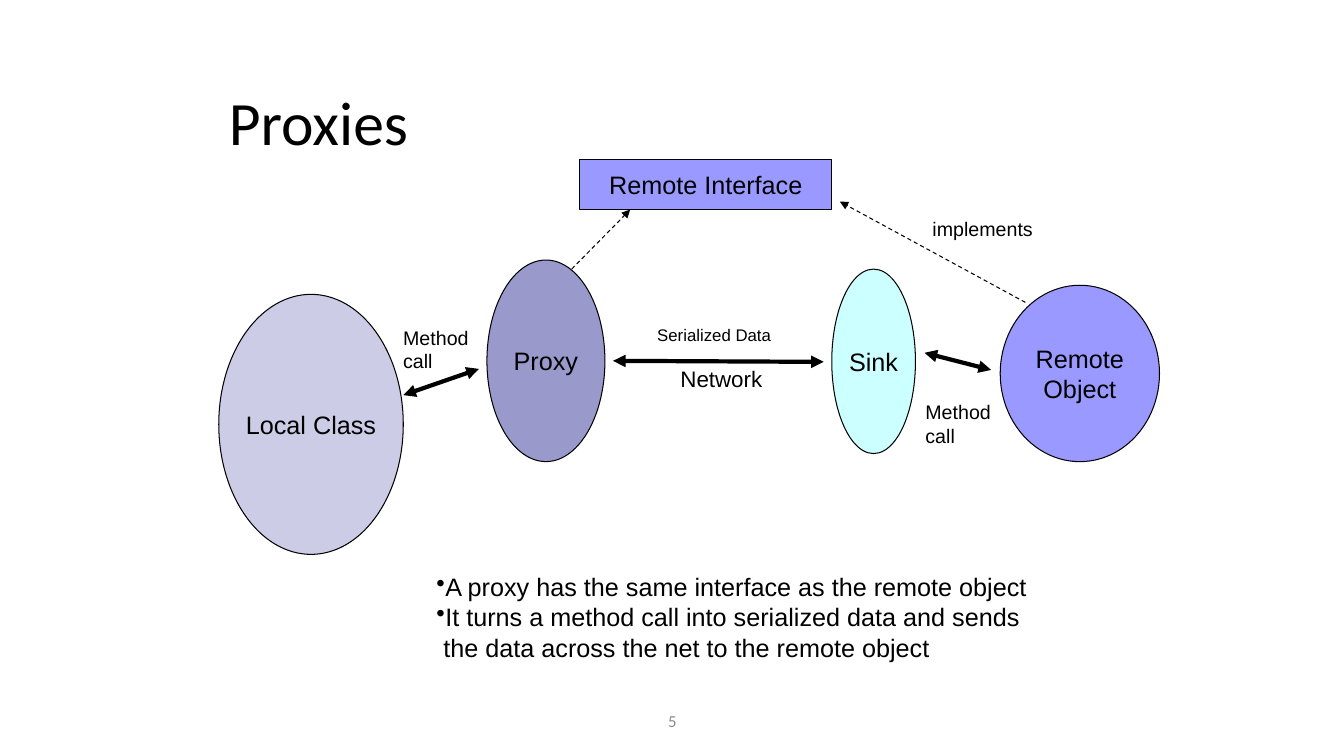
"""Build the Proxies slide."""
from pptx import Presentation
from pptx.dml.color import RGBColor
from pptx.enum.dml import MSO_LINE
from pptx.enum.shapes import MSO_CONNECTOR, MSO_SHAPE
from pptx.enum.text import MSO_ANCHOR, PP_ALIGN
from pptx.oxml.ns import qn
from pptx.util import Inches, Pt
from lxml import etree

OVAL, RECT = MSO_SHAPE.OVAL, MSO_SHAPE.RECTANGLE
STRAIGHT, DASH = MSO_CONNECTOR.STRAIGHT, MSO_LINE.DASH
LEFT, CENTER = PP_ALIGN.LEFT, PP_ALIGN.CENTER
TOP, MIDDLE = MSO_ANCHOR.TOP, MSO_ANCHOR.MIDDLE


def color(text):
    return RGBColor.from_string(text)


class Board:
    ink, sans, head = "000000", "Arial", "Calibri"
    thin, thick = 0.74, 3

    def __init__(self, deck):
        self.slide = deck.slides.add_slide(deck.slide_layouts[5])
        self.shapes = self.slide.shapes

    def letter(self, frame, lines, size, align=LEFT, anchor=TOP,
               font=None, ink=None, wrap=False):
        frame.word_wrap = wrap
        frame.vertical_anchor = anchor
        for i, line in enumerate(lines):
            para = frame.add_paragraph() if i else frame.paragraphs[0]
            para.text = line
            para.alignment = align
            para.font.size = Pt(size)
            para.font.name = font or self.sans
            para.font.color.rgb = color(ink or self.ink)
        return frame

    def title(self, text, box):
        shape = self.shapes.title
        shape.left, shape.top, shape.width, shape.height = map(Inches, box)
        frame = self.letter(shape.text_frame, [text], 44, anchor=MIDDLE,
                            font=self.head, wrap=True)
        frame.paragraphs[0].line_spacing = 0.9

    def node(self, kind, lines, box, fill):
        shape = self.shapes.add_shape(kind, *map(Inches, box))
        shape.shadow.inherit = False
        shape.fill.solid()
        shape.fill.fore_color.rgb = color(fill)
        shape.line.color.rgb = color(self.ink)
        shape.line.width = Pt(self.thin)
        self.letter(shape.text_frame, lines, 18, CENTER, MIDDLE)

    def label(self, lines, box, size, **style):
        shape = self.shapes.add_textbox(*map(Inches, box))
        return self.letter(shape.text_frame, lines, size, **style)

    def bullets(self, lines, box, size):
        for para in self.label(lines, box, size).paragraphs:
            props = para._p.get_or_add_pPr()
            mark = etree.Element(qn("a:buChar"), char="•")
            props.insert_element_before(mark, "a:tabLst", "a:defRPr", "a:extLst")

    def arrow(self, start, end, width, ends, dash=None):
        link = self.shapes.add_connector(STRAIGHT, *map(Inches, start + end))
        link.line.color.rgb = color(self.ink)
        link.line.width = Pt(width)
        if dash:
            link.line.dash_style = dash
        props = link._element.spPr
        for tag in ends:
            etree.SubElement(props.find(qn("a:ln")), qn(tag)).set("type", "triangle")
        etree.SubElement(props, qn("a:effectLst"))

    def realize(self, start, end):
        self.arrow(start, end, self.thin, ["a:tailEnd"], DASH)

    def call(self, start, end):
        self.arrow(start, end, self.thick, ["a:headEnd", "a:tailEnd"])


deck = Presentation()
deck.slide_width, deck.slide_height = Inches(13.33), Inches(7.5)
board = Board(deck)

board.title("Proxies", (2.17, 0.5, 9, 1.5))
board.label(["5"], (4.42, 6.95, 4.5, 0.4), 12, align=CENTER, anchor=MIDDLE,
            font=board.head, ink="8C8C8C", wrap=True)

for kind, lines, box, fill in [
    (OVAL, ["Local Class"], (2.17, 2.92, 1.83, 2.58), "CCCCE6"),
    (OVAL, ["Proxy"], (4.83, 2.58, 1.17, 2), "9999CC"),
    (RECT, ["Remote Interface"], (5.75, 1.58, 2.5, 0.5), "9999FF"),
    (OVAL, ["Sink"], (8.25, 2.67, 0.83, 1.83), "CCFFFF"),
    (OVAL, ["Remote", "Object"], (9.92, 2.83, 1.58, 1.75), "9999FF"),
]:
    board.node(kind, lines, box, fill)

board.realize((5.67, 2.67), (6.25, 2.08))
board.realize((10.17, 3), (8.33, 2))
board.call((6.08, 3.58), (8.17, 3.59))
board.call((4, 3.92), (4.75, 3.66))
board.call((9.17, 3.5), (9.83, 3.67))

board.label(["implements"], (9.15, 2.1, 1.2, 0.34), 14)
board.label(["Network"], (6.65, 3.57, 1.02, 0.37), 16)
for left, top in [(3.9, 3.18), (9.08, 3.92)]:
    board.label(["Method", "call"], (left, top, 0.85, 0.57), 14)
board.label(["Serialized Data"], (6.42, 3.17, 1.52, 0.31), 12, wrap=True)
board.bullets([
    "A proxy has the same interface as the remote object",
    "It turns a method call into serialized data and sends\v"
    " the data across the net to the remote object",
], (4.23, 5.62, 6.11, 1.01), 18)

deck.save("out.pptx")
